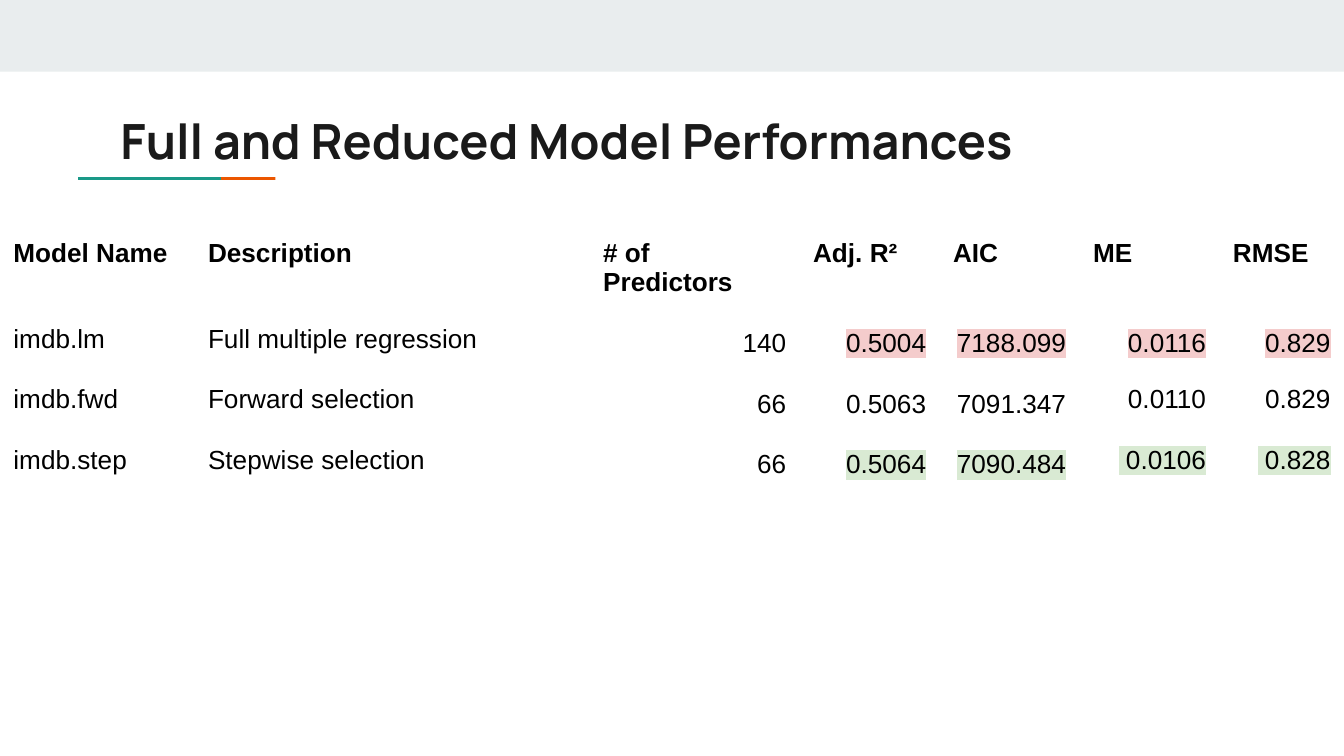
from dataclasses import dataclass
from typing import Optional

from lxml.etree import SubElement
from pptx import Presentation
from pptx.dml.color import RGBColor
from pptx.enum.shapes import MSO_SHAPE
from pptx.enum.text import MSO_ANCHOR, MSO_AUTO_SIZE, PP_ALIGN
from pptx.oxml.ns import qn
from pptx.util import Pt


@dataclass(frozen=True)
class Theme:
    heading_font: str = "Manrope"
    body_font: str = "Arial"
    heading_size: float = 26
    body_size: float = 14
    heading: str = "1A1A1A"
    ink: str = "000000"
    band: str = "E9EDEE"
    teal: str = "1A9988"
    orange: str = "EB5600"
    worst: str = "F4CCCC"
    best: str = "D9EAD3"
    inset: float = 7.2
    number_spacing: float = 1.15


@dataclass(frozen=True)
class Bar:
    center_x: float
    center_y: float
    width: float
    height: float
    color: str
    rotation: float = 0


@dataclass(frozen=True)
class Entry:
    text: str
    bold: bool = False
    number: bool = False
    spacing: Optional[float] = None
    highlight: Optional[str] = None


THEME = Theme()

# Top band, then two upright bars turned flat; the teal one overlaps the orange one
BARS = [
    Bar(360, 19.2, 720, 38.4, THEME.band),
    Bar(109.3, 95.6, 1.5, 76.4, THEME.orange, 270),
    Bar(80.1, 95.6, 1.5, 76.4, THEME.teal, 270),
]

COLUMN_WIDTHS = [104.25, 211.7, 112.5, 75, 75, 75, 66.65]
ROW_HEIGHT = 14.4
HEADINGS = ["Model Name", "Description", "# of Predictors", "Adj. R²", "AIC", "ME", "RMSE"]


def spaced(text: str, highlight: Optional[str] = None) -> Entry:
    return Entry(text, number=True, spacing=THEME.number_spacing, highlight=highlight)


def single(text: str, highlight: Optional[str] = None) -> Entry:
    return Entry(text, number=True, highlight=highlight)


ROWS = [
    [Entry(heading, bold=True) for heading in HEADINGS],
    [Entry("imdb.lm"), Entry("Full multiple regression"), spaced("140"),
     *(spaced(value, THEME.worst) for value in ("0.5004", "7188.099", "0.0116", "0.829"))],
    [Entry("imdb.fwd"), Entry("Forward selection"),
     *(spaced(value) for value in ("66", "0.5063", "7091.347")),
     *(single(value) for value in ("0.0110", "0.829"))],
    [Entry("imdb.step"), Entry("Stepwise selection"), spaced("66"),
     *(spaced(value, THEME.best) for value in ("0.5064", "7090.484")),
     *(single(value, THEME.best) for value in (" 0.0106", " 0.828"))],
]


def add_span(para, text: str, font: str, size: float, color: str, bold: bool):
    span = para.add_run()
    span.text = text
    span.font.name = font
    span.font.size = Pt(size)
    span.font.bold = bold
    span.font.color.rgb = RGBColor.from_string(color)
    return span


def highlight_span(span, color: str) -> None:
    properties = span.font._element
    highlight = SubElement(properties, qn("a:highlight"))
    SubElement(highlight, qn("a:srgbClr")).set("val", color)
    # The schema wants the highlight right after the text fill
    properties.find(qn("a:solidFill")).addnext(highlight)


def draw_bar(page, bar: Bar) -> None:
    box = page.shapes.add_shape(MSO_SHAPE.RECTANGLE, Pt(bar.center_x - bar.width / 2),
                                Pt(bar.center_y - bar.height / 2),
                                Pt(bar.width), Pt(bar.height))
    box.rotation = bar.rotation
    box.shadow.inherit = False
    box.fill.solid()
    box.fill.fore_color.rgb = RGBColor.from_string(bar.color)
    box.line.fill.background()


def write_title(page, text: str) -> None:
    box = page.shapes.title
    box.left, box.top, box.width, box.height = Pt(57.3), Pt(52.5), Pt(605.5), Pt(42.5)
    frame = box.text_frame
    frame.word_wrap = True
    frame.auto_size = MSO_AUTO_SIZE.NONE
    frame.vertical_anchor = MSO_ANCHOR.TOP
    frame.margin_left = frame.margin_right = Pt(THEME.inset)
    frame.margin_top = frame.margin_bottom = Pt(THEME.inset)
    para = frame.paragraphs[0]
    para.alignment = PP_ALIGN.LEFT
    add_span(para, text, THEME.heading_font, THEME.heading_size, THEME.heading, True)


def fill_cell(cell, entry: Entry) -> None:
    cell.fill.background()
    cell.vertical_anchor = MSO_ANCHOR.TOP
    cell.margin_left = cell.margin_right = Pt(THEME.inset)
    cell.margin_top = cell.margin_bottom = Pt(THEME.inset)
    para = cell.text_frame.paragraphs[0]
    para.alignment = PP_ALIGN.RIGHT if entry.number else PP_ALIGN.LEFT
    if entry.spacing:
        para.line_spacing = entry.spacing
    span = add_span(para, entry.text, THEME.body_font, THEME.body_size, THEME.ink, entry.bold)
    if entry.highlight:
        highlight_span(span, entry.highlight)


def draw_table(page, rows: list[list[Entry]]) -> None:
    frame = page.shapes.add_table(len(rows), len(COLUMN_WIDTHS), Pt(0), Pt(120.7),
                                  Pt(sum(COLUMN_WIDTHS)), Pt(ROW_HEIGHT * len(rows)))
    table = frame.table
    table.first_row = table.horz_banding = False
    for column, width in zip(table.columns, COLUMN_WIDTHS):
        column.width = Pt(width)
    for row, entries in zip(table.rows, rows):
        row.height = Pt(ROW_HEIGHT)
        for cell, entry in zip(row.cells, entries):
            fill_cell(cell, entry)


def main() -> None:
    deck = Presentation()
    deck.slide_width, deck.slide_height = Pt(720), Pt(405)
    page = deck.slides.add_slide(deck.slide_layouts.get_by_name("Title Only"))

    # Decoration
    for bar in BARS:
        draw_bar(page, bar)

    # Content
    write_title(page, "Full and Reduced Model Performances")
    draw_table(page, ROWS)
    deck.save("out.pptx")


if __name__ == "__main__":
    main()
